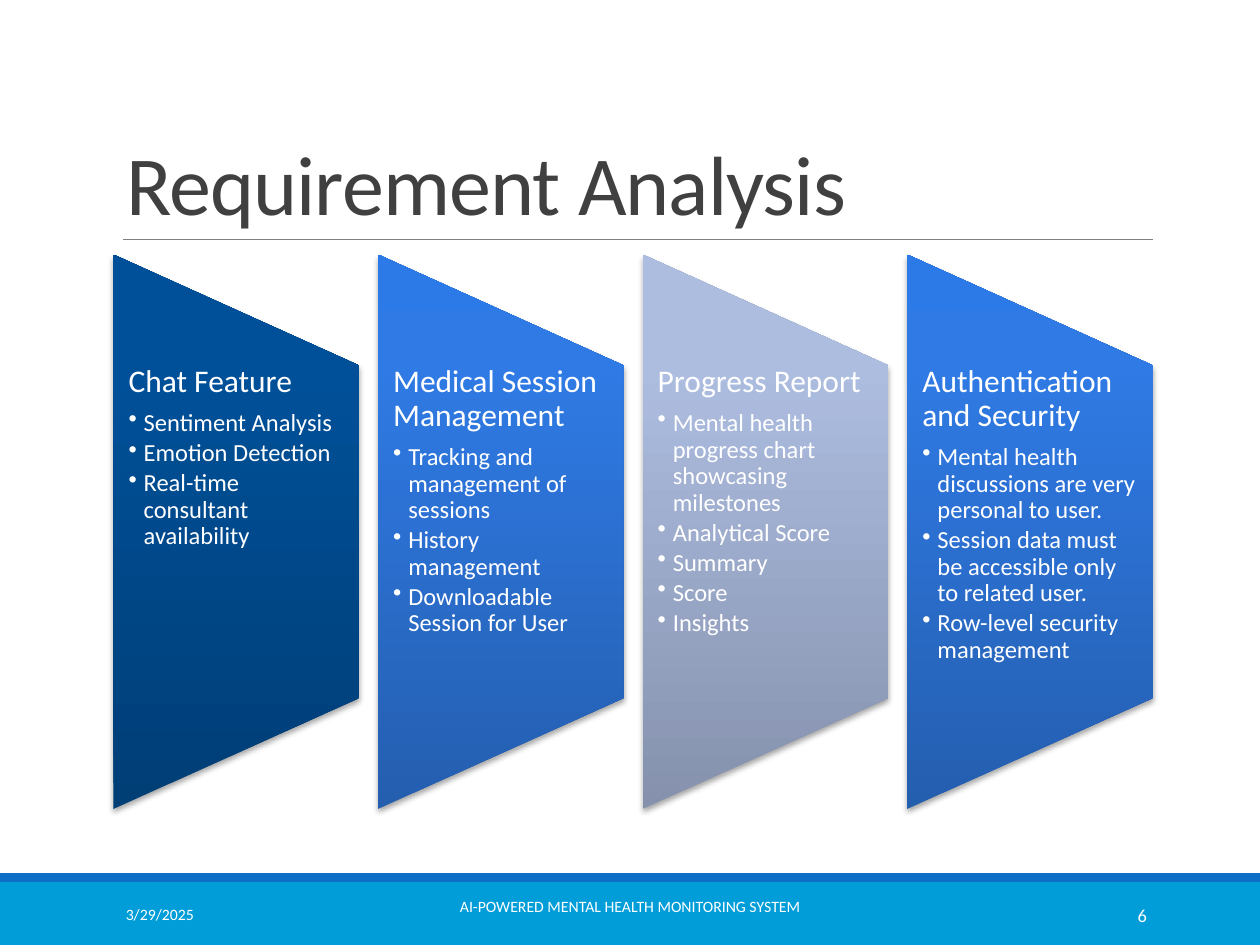
from dataclasses import dataclass

from lxml.etree import SubElement
from pptx import Presentation
from pptx.dml.color import RGBColor
from pptx.enum.shapes import MSO_CONNECTOR, MSO_SHAPE
from pptx.enum.text import MSO_ANCHOR, MSO_AUTO_SIZE, PP_ALIGN
from pptx.oxml import parse_xml
from pptx.oxml.ns import nsdecls, qn
from pptx.util import Inches, Pt


@dataclass(frozen=True)
class Theme:
    """Colours, gradients and type sizes of the slide."""
    font: str = "Calibri"
    title: str = "404040"
    white: str = "FFFFFF"
    rule: str = "808080"
    band: str = "009DD9"
    stripe: str = "0F6FC6"
    navy: tuple = ("003E76", "005099", "005099")
    blue: tuple = ("245EAF", "2F7AE4", "2C7AE8")
    grey: tuple = ("8591AD", "ADBDE0", "ADBDE2")
    title_size: float = 48
    heading_size: float = 18
    item_size: float = 14
    footer_size: float = 9
    number_size: float = 10.5


@dataclass(frozen=True)
class Panel:
    """A requirement area with its gradient, heading and items."""
    gradient: tuple
    heading: str
    items: tuple


@dataclass(frozen=True)
class FooterField:
    """A short text in the footer band."""
    text: str
    left: float
    width: float
    align: PP_ALIGN
    size: float
    bottom_inset: float = 0.05


THEME = Theme()
PANELS = (
    Panel(THEME.navy, "Chat Feature",
          ("Sentiment Analysis", "Emotion Detection", "Real-time consultant availability")),
    Panel(THEME.blue, "Medical Session Management",
          ("Tracking and management of sessions", "History management",
           "Downloadable Session for User")),
    Panel(THEME.grey, "Progress Report",
          ("Mental health progress chart showcasing milestones", "Analytical Score",
           "Summary", "Score", "Insights")),
    Panel(THEME.blue, "Authentication and Security",
          ("Mental health discussions are very personal to user.",
           "Session data must be accessible only to related user.",
           "Row-level security management")),
)
FOOTERS = (
    FooterField("3/29/2025", 0.9, 2.03, PP_ALIGN.LEFT, THEME.footer_size),
    FooterField("AI-POWERED MENTAL HEALTH MONITORING SYSTEM", 3.02, 3.96,
                PP_ALIGN.CENTER, THEME.footer_size, 0.19),
    FooterField("6", 8.12, 1.08, PP_ALIGN.RIGHT, THEME.number_size),
)
PANEL_LEFT, PANEL_STEP, PANEL_WIDTH = 0.9, 2.1, 1.95
PANEL_TOP, PANEL_HEIGHT = 2.02, 4.4


def apply(target, values: dict) -> None:
    """Set each named attribute on the target."""
    for name, value in values.items():
        setattr(target, name, value)


def write(para, text: str, size: float, color: str, **values):
    """Add a formatted span to a paragraph and return it."""
    apply(para, values)
    span = para.add_run()
    span.text = text
    apply(span.font, {"name": THEME.font, "size": Pt(size)})
    span.font.color.rgb = RGBColor.from_string(color)
    return span


def add_bullet(para) -> None:
    """Give a paragraph a hanging bullet."""
    properties = para._p.get_or_add_pPr()
    apply_indent = {"marL": Inches(0.12), "indent": Inches(-0.12), "lvl": 1}
    for name, value in apply_indent.items():
        properties.set(name, str(value))
    SubElement(properties, qn("a:buChar")).set("char", "•")


def add_band(page, top: float, height: float, color: str) -> None:
    """Draw a full-width band."""
    band = page.shapes.add_shape(MSO_SHAPE.RECTANGLE, 0, Inches(top), Inches(10), Inches(height))
    band.shadow.inherit = False
    band.fill.solid()
    band.fill.fore_color.rgb = RGBColor.from_string(color)
    band.line.fill.background()


def add_rule(page) -> None:
    """Draw the thin rule under the title."""
    rule = page.shapes.add_connector(MSO_CONNECTOR.STRAIGHT, Inches(0.98), Inches(1.9),
                                     Inches(9.15), Inches(1.9))
    rule.line.color.rgb = RGBColor.from_string(THEME.rule)
    rule.line.width = Pt(0.5)
    SubElement(rule._element.spPr, qn("a:effectLst"))


def add_title(page, text: str) -> None:
    """Place and format the title placeholder."""
    title = page.shapes.title
    apply(title, {"left": Inches(0.9), "top": Inches(0.31),
                  "width": Inches(8.25), "height": Inches(1.59)})
    apply(title.text_frame, {"vertical_anchor": MSO_ANCHOR.BOTTOM, "word_wrap": True,
                             "auto_size": MSO_AUTO_SIZE.NONE})
    span = write(title.text_frame.paragraphs[0], text, THEME.title_size, THEME.title,
                 alignment=PP_ALIGN.LEFT, line_spacing=0.85)
    span._r.get_or_add_rPr().set("spc", "-50")


def style_panel(shape, gradient: tuple) -> None:
    """Apply an upward gradient and a soft shadow below."""
    shape.line.fill.background()
    shape.fill.background()
    stops = "".join(f'<a:gs pos="{place}000"><a:srgbClr val="{color}"/></a:gs>'
                    for place, color in zip((0, 80, 100), gradient))
    properties = shape._element.spPr
    properties.replace(properties.find(qn("a:noFill")), parse_xml(
        f'<a:gradFill {nsdecls("a")} rotWithShape="0"><a:gsLst>{stops}</a:gsLst>'
        '<a:lin ang="16200000" scaled="0"/></a:gradFill>'))
    shape.shadow.inherit = False
    properties.find(qn("a:effectLst")).append(parse_xml(
        f'<a:outerShdw {nsdecls("a")} blurRad="40000" dist="23000" dir="5400000" '
        'rotWithShape="0"><a:srgbClr val="000000"><a:alpha val="35000"/></a:srgbClr>'
        '</a:outerShdw>'))


def add_panel(group, panel: Panel, left: float) -> None:
    """Draw a panel standing on its side and its list."""
    shift = (PANEL_HEIGHT - PANEL_WIDTH) / 2
    shape = group.shapes.add_shape(
        MSO_SHAPE.FLOWCHART_MANUAL_OPERATION, Inches(left - shift), Inches(PANEL_TOP + shift),
        Inches(PANEL_HEIGHT), Inches(PANEL_WIDTH))
    shape.rotation = 270
    style_panel(shape, panel.gradient)
    box = group.shapes.add_textbox(Inches(left), Inches(2.9), Inches(PANEL_WIDTH), Inches(2.64))
    frame = box.text_frame
    apply(frame, {"word_wrap": True, "margin_left": Inches(0.12), "margin_right": Inches(0.12),
                  "margin_top": 0, "margin_bottom": 0})
    write(frame.paragraphs[0], panel.heading, THEME.heading_size, THEME.white,
          line_spacing=0.9, space_after=Pt(6.3))
    for item in panel.items:
        para = frame.add_paragraph()
        add_bullet(para)
        write(para, item, THEME.item_size, THEME.white, line_spacing=0.9, space_after=Pt(2.1))


def add_footer(page, field: FooterField) -> None:
    """Write a text in the footer band."""
    box = page.shapes.add_textbox(Inches(field.left), Inches(7.06),
                                  Inches(field.width), Inches(0.4))
    apply(box.text_frame, {"word_wrap": True, "vertical_anchor": MSO_ANCHOR.MIDDLE,
                           "margin_bottom": Inches(field.bottom_inset)})
    write(box.text_frame.paragraphs[0], field.text, field.size, THEME.white,
          alignment=field.align)


def main() -> None:
    """Build and save the slide."""
    deck = Presentation()
    apply(deck, {"slide_width": Inches(10), "slide_height": Inches(7.5)})
    page = deck.slides.add_slide(deck.slide_layouts.get_by_name("Title Only"))
    add_band(page, 7, 0.5, THEME.band)
    add_band(page, 6.93, 0.07, THEME.stripe)
    add_rule(page)
    add_title(page, "Requirement Analysis")
    group = page.shapes.add_group_shape()
    for index, panel in enumerate(PANELS):
        add_panel(group, panel, PANEL_LEFT + index * PANEL_STEP)
    for field in FOOTERS:
        add_footer(page, field)
    deck.save("out.pptx")


if __name__ == "__main__":
    main()
